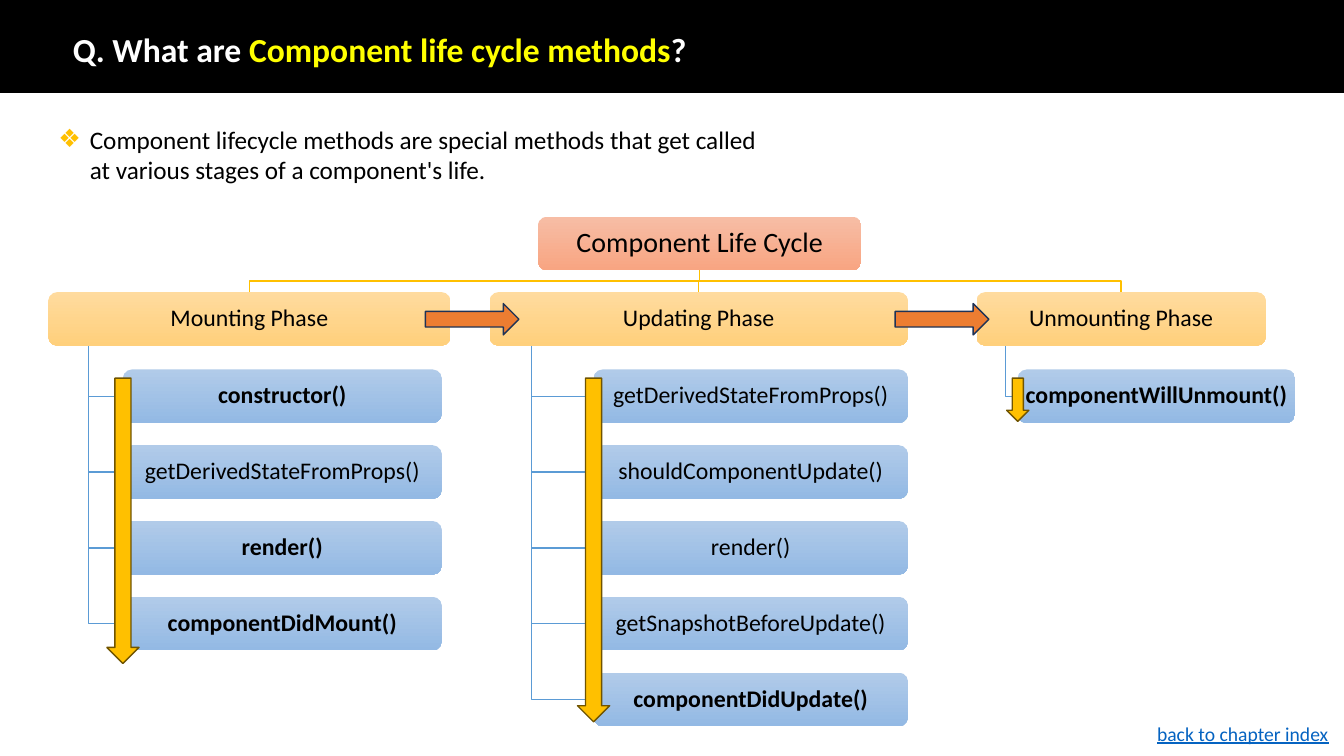
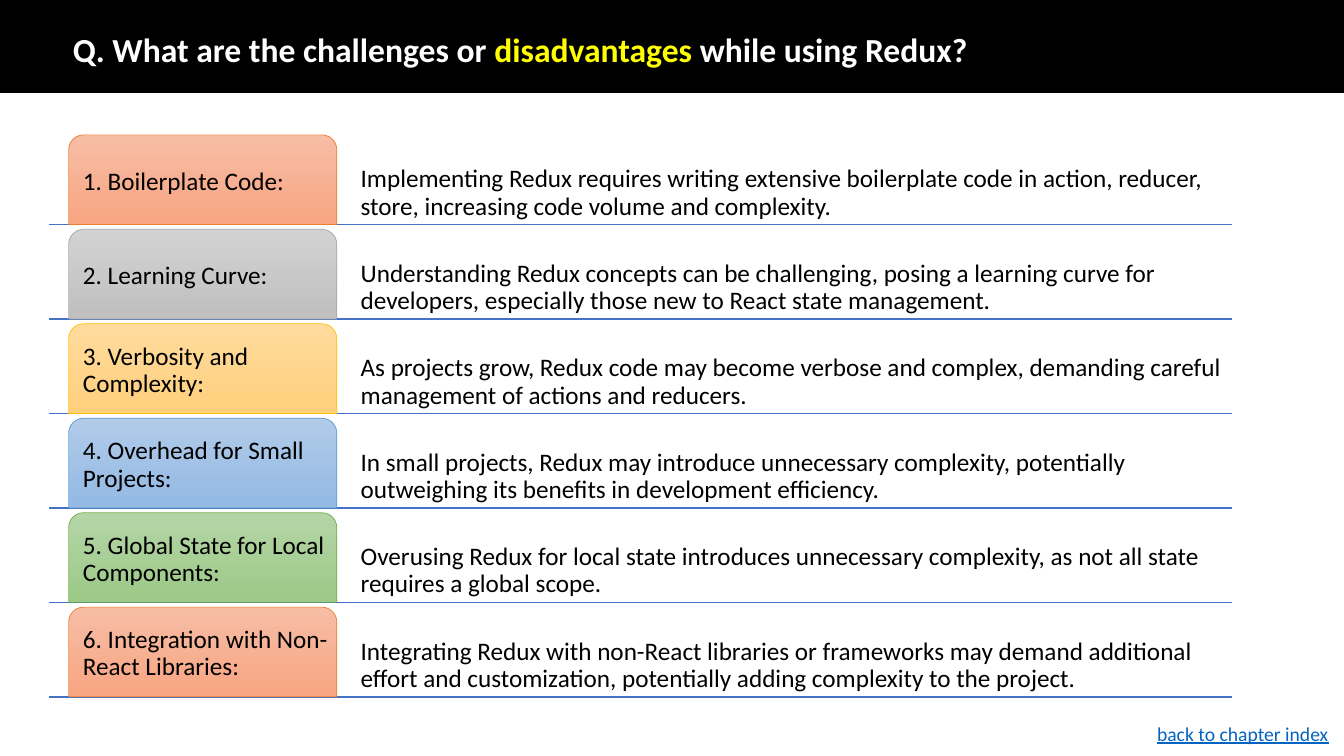
import dataclasses

import pptx
import pptx.dml.color
import pptx.enum.shapes
import pptx.enum.text
import pptx.util
from lxml import etree
from pptx.oxml.ns import qn

Cm = pptx.util.Cm
Pt = pptx.util.Pt
SHAPE = pptx.enum.shapes.MSO_SHAPE
ALIGN = pptx.enum.text.PP_ALIGN
ANCHOR = pptx.enum.text.MSO_ANCHOR
AUTO_SIZE = pptx.enum.text.MSO_AUTO_SIZE


@dataclasses.dataclass(frozen=True)
class Theme:
    font: str = "Calibri"
    title_size: int = 24
    root_size: int = 20
    body_size: int = 18
    step_size: int = 17
    link_size: int = 14
    black: str = "000000"
    white: str = "FFFFFF"
    highlight: str = "FFFF00"
    link: str = "0563C1"
    rule: str = "4472C4"
    # Accents: (gradient top, gradient bottom, outline)
    orange: tuple = ("F7BDA5", "F8A582", "ED7D31")
    gray: tuple = ("D2D2D2", "C0C0C0", "A5A5A5")
    gold: tuple = ("FFDB9E", "FFD07C", "FFC000")
    blue: tuple = ("B1CBE9", "93B9E4", "5B9BD5")
    green: tuple = ("B5D5A7", "9CC987", "70AD47")
    arrow_edge: str = "1E3256"
    flow_edge: str = "705400"


T = Theme()


def rgb(value):
    return pptx.dml.color.RGBColor.from_string(value)


def write(tf, runs, size=T.body_size, color=T.black, bold=False, underline=False,
          align=ALIGN.LEFT, anchor=ANCHOR.TOP, spacing=1.0, insets=None):
    """Fill a text frame; runs is a string or a list of (text, colour) pairs."""
    tf.word_wrap = True
    tf.auto_size = AUTO_SIZE.NONE
    tf.vertical_anchor = anchor
    if insets:
        (tf.margin_left, tf.margin_top,
         tf.margin_right, tf.margin_bottom) = [Cm(i) for i in insets]
    p = tf.paragraphs[0]
    p.alignment = align
    p.line_spacing = spacing
    p.space_before = Pt(0)
    for text, run_color in [(runs, color)] if isinstance(runs, str) else runs:
        r = p.add_run()
        r.text = text
        r.font.name = T.font
        r.font.size = Pt(size)
        r.font.bold = bold
        r.font.underline = underline
        r.font.color.rgb = rgb(run_color)
    return p


class Deck:
    def __init__(self):
        self.prs = pptx.Presentation()
        self.prs.slide_width = Cm(33.87)
        self.prs.slide_height = Cm(19.05)
        self.s = None

    def slide(self, layout, title_runs):
        """Start a slide with its title band and index label."""
        self.s = self.prs.slides.add_slide(self.prs.slide_layouts[layout])
        self.shape(SHAPE.RECTANGLE, 0, 0, 33.87, 2.32, T.black, T.black)
        title = self.s.shapes.title
        self.place(title, 1.58, 0.86, 29.21, 0.9)
        write(title.text_frame, title_runs, size=T.title_size, bold=True,
              anchor=ANCHOR.MIDDLE, spacing=0.9)
        title.element.getparent().append(title.element)  # above the band
        self.text(28.91, 18.06, 4.95, 0.86, "back to chapter index",
                  size=T.link_size, color=T.link, underline=True)

    def place(self, sp, x, y, w, h):
        sp.left, sp.top, sp.width, sp.height = Cm(x), Cm(y), Cm(w), Cm(h)

    def shape(self, kind, x, y, w, h, fill, line=None, line_width=1):
        """Add a preset shape; fill is a colour or an accent gradient."""
        sp = self.s.shapes.add_shape(kind, Cm(x), Cm(y), Cm(w), Cm(h))
        sp.shadow.inherit = False
        if isinstance(fill, str):
            sp.fill.solid()
            sp.fill.fore_color.rgb = rgb(fill)
        else:
            sp.fill.gradient()
            sp.fill.gradient_angle = 270
            for stop, color in zip(sp.fill.gradient_stops, fill):
                stop.color.rgb = rgb(color)
        if line:
            sp.line.color.rgb = rgb(line)
            sp.line.width = Pt(line_width)
        else:
            sp.line.fill.background()
        return sp

    def text(self, x, y, w, h, runs, **fmt):
        tb = self.s.shapes.add_textbox(Cm(x), Cm(y), Cm(w), Cm(h))
        write(tb.text_frame, runs, **fmt)

    def bullet(self, x, y, w, h, text):
        """Put one bulleted paragraph in the body placeholder."""
        body = self.s.placeholders[1]
        self.place(body, x, y, w, h)
        p = write(body.text_frame, text)
        pPr = p._p.get_or_add_pPr()
        pPr.set("marL", str(Cm(0.79)))
        pPr.set("indent", str(-Cm(0.79)))
        bu_color = etree.SubElement(pPr, qn("a:buClr"))
        etree.SubElement(bu_color, qn("a:srgbClr"), val=T.gold[2])
        etree.SubElement(pPr, qn("a:buChar"), char="❖")

    def box(self, x, y, w, label, accent, size=T.step_size, bold=False):
        """Add a rounded diagram node of the common height."""
        sp = self.shape(SHAPE.FLOWCHART_ALTERNATE_PROCESS, x, y, w, BOX_H, accent)
        write(sp.text_frame, label, size=size, bold=bold, align=ALIGN.CENTER,
              anchor=ANCHOR.MIDDLE, spacing=0.9, insets=(0.03,) * 4)

    def polyline(self, points, color):
        start, *rest = [(Cm(x), Cm(y)) for x, y in points]
        builder = self.s.shapes.build_freeform(*start, scale=1.0)
        builder.add_line_segments(rest, close=False)
        sp = builder.convert_to_shape()
        sp.shadow.inherit = False
        sp.fill.background()
        sp.line.color.rgb = rgb(color)
        sp.line.width = Pt(1)

    def rule(self, x1, x2, y):
        ln = self.s.shapes.add_connector(
            pptx.enum.shapes.MSO_CONNECTOR.STRAIGHT, Cm(x1), Cm(y), Cm(x2), Cm(y))
        ln.line.color.rgb = rgb(T.rule)
        ln.line.width = Pt(1)
        etree.SubElement(ln._element.spPr, qn("a:effectLst"))


BOX_H = 1.35
ROOT_X, ROOT_Y, ROOT_W = 13.56, 5.46, 8.15
PHASE_Y = 7.36
STEP_Y, STEP_PITCH = 9.31, 1.91
FLOW_Y = 9.53


@dataclasses.dataclass(frozen=True)
class Phase:
    name: str
    x: float
    w: float
    step_x: float
    step_w: float
    flow_w: float
    flow_h: float
    steps: tuple  # (method, bold)


PHASES = [
    Phase("Mounting Phase", 1.22, 10.13, 3.1, 8.03, 0.81, 7.19, (
        ("constructor()", True),
        ("getDerivedStateFromProps()", False),
        ("render()", True),
        ("componentDidMount()", True))),
    Phase("Updating Phase", 12.34, 10.54, 14.96, 7.92, 0.81, 8.66, (
        ("getDerivedStateFromProps()", False),
        ("shouldComponentUpdate()", False),
        ("render()", False),
        ("getSnapshotBeforeUpdate()", False),
        ("componentDidUpdate()", True))),
    Phase("Unmounting Phase", 24.61, 7.29, 25.65, 6.99, 0.56, 1.09, (
        ("componentWillUnmount()", True),)),
]

CHALLENGES = [
    ("1. Boilerplate Code:", T.orange,
     "Implementing Redux requires writing extensive boilerplate code in action, "
     "reducer, store, increasing code volume and complexity."),
    ("2. Learning Curve:", T.gray,
     "Understanding Redux concepts can be challenging, posing a learning curve for "
     "developers, especially those new to React state management."),
    ("3. Verbosity and Complexity:", T.gold,
     "As projects grow, Redux code may become verbose and complex, demanding careful "
     "management of actions and reducers."),
    ("4. Overhead for Small Projects:", T.blue,
     "In small projects, Redux may introduce unnecessary complexity, potentially "
     "outweighing its benefits in development efficiency."),
    ("5. Global State for Local Components:", T.green,
     "Overusing Redux for local state introduces unnecessary complexity, as not all "
     "state requires a global scope."),
    ("6. Integration with Non-React Libraries:", T.orange,
     "Integrating Redux with non-React libraries or frameworks may demand additional "
     "effort and customization, potentially adding complexity to the project."),
]


def life_cycle_slide(deck):
    deck.slide(1, [("Q. What are ", T.white),
                   ("Component life cycle methods", T.highlight), ("?", T.white)])
    deck.bullet(1.22, 3, 18.31, 1.8,
                "Component lifecycle methods are special methods that get called "
                "at various stages of a component's life.")

    root_mid, root_bottom = ROOT_X + ROOT_W / 2, ROOT_Y + BOX_H
    branch_y = (root_bottom + PHASE_Y) / 2
    step_tops = [STEP_Y + i * STEP_PITCH for i in range(5)]
    for phase in PHASES:
        phase_mid = phase.x + phase.w / 2
        deck.polyline([(root_mid, root_bottom), (root_mid, branch_y),
                       (phase_mid, branch_y), (phase_mid, PHASE_Y)], T.gold[2])
        trunk_x = phase.x + phase.w / 10
        for y, _ in zip(step_tops, phase.steps):
            step_mid = y + BOX_H / 2
            deck.polyline([(trunk_x, PHASE_Y + BOX_H), (trunk_x, step_mid),
                           (phase.step_x, step_mid)], T.blue[2])

    deck.box(ROOT_X, ROOT_Y, ROOT_W, "Component Life Cycle", T.orange, T.root_size)
    for phase in PHASES:
        deck.box(phase.x, PHASE_Y, phase.w, phase.name, T.gold)
        for y, (method, bold) in zip(step_tops, phase.steps):
            deck.box(phase.step_x, y, phase.step_w, method, T.blue, bold=bold)
        deck.shape(SHAPE.DOWN_ARROW, phase.step_x - phase.flow_w / 2, FLOW_Y,
                   phase.flow_w, phase.flow_h, T.gold[2], T.flow_edge)
    for x in (10.72, 22.56):
        deck.shape(SHAPE.RIGHT_ARROW, x, 7.65, 2.36, 0.79, T.orange[2], T.arrow_edge)


def challenges_slide(deck):
    deck.slide(5, [("Q. What are the challenges or ", T.white),
                   ("disadvantages", T.highlight), (" while using Redux?", T.white)])
    top, pitch, height = 3.4, 2.38, 2.26
    for i, (label, accent, detail) in enumerate(CHALLENGES):
        y = top + i * pitch
        deck.rule(1.24, 31.04, y + height)
        deck.text(8.99, y, 22.05, height, detail, anchor=ANCHOR.BOTTOM,
                  spacing=0.9, insets=(0.1,) * 4)
        tab = deck.shape(SHAPE.ROUND_2_SAME_RECTANGLE, 1.73, y, 6.76, height,
                         accent, accent[2], 0.5)
        write(tab.text_frame, label, anchor=ANCHOR.MIDDLE, spacing=0.9,
              insets=(0.25, 0.1, 0.1, 0.1))


def main():
    deck = Deck()
    life_cycle_slide(deck)
    challenges_slide(deck)
    deck.prs.save("out.pptx")


if __name__ == "__main__":
    main()
